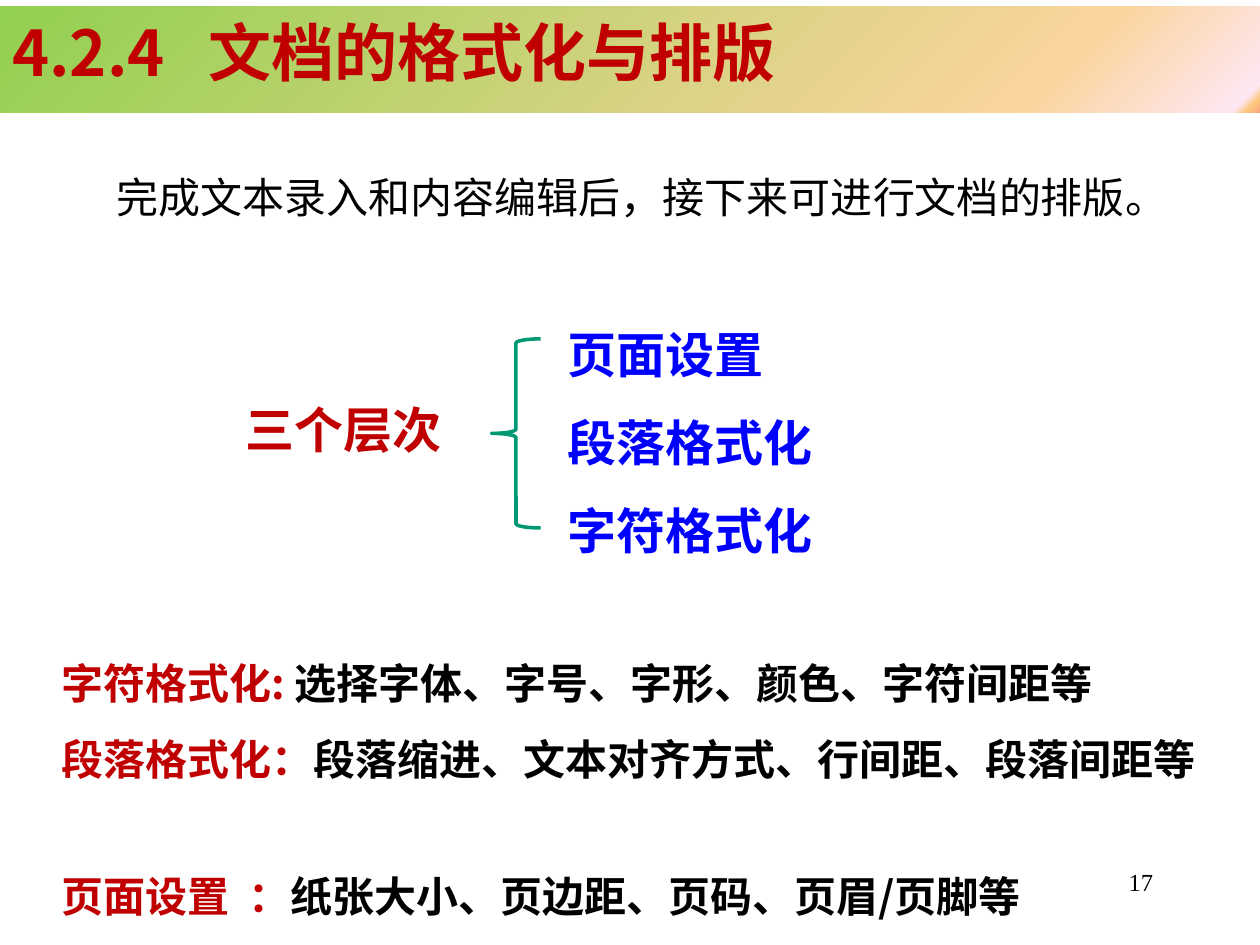
from dataclasses import dataclass

from lxml.etree import SubElement
from pptx import Presentation
from pptx.dml.color import RGBColor
from pptx.enum.shapes import MSO_SHAPE
from pptx.enum.text import MSO_ANCHOR, PP_ALIGN
from pptx.oxml.ns import qn
from pptx.util import Inches, Pt

SANS = "Noto Sans CJK SC"
SERIF = "Times New Roman"
RED = RGBColor(0xC0, 0x00, 0x00)
BLUE = RGBColor(0x00, 0x00, 0xFF)
BLACK = RGBColor(0x00, 0x00, 0x00)
GREEN = RGBColor(0x00, 0x99, 0x73)
BANNER_STOPS = [
    (0, "92D050"), (82, "FBD49C"), (98, "FEE7F2"),
    (99, "FAC77D"), (100, "FBA97D"), (100, "FEE7F2"),
]
LOOSE = 1.5  # line spacing of the body text


@dataclass(frozen=True)
class Box:
    left: float
    top: float
    width: float
    height: float

    def lengths(self) -> tuple:
        return tuple(Inches(v) for v in (self.left, self.top, self.width, self.height))


@dataclass(frozen=True)
class Level:
    label: str
    details: str
    tab: float = 0
    before: float = 0


LEVELS = [
    Level("字符格式化: ", "选择字体、字号、字形、颜色、字符间距等"),
    Level("段落格式化：", "段落缩进、文本对齐方式、行间距、段落间距等"),
    Level("页面设置\t：", "纸张大小、页边距、页码、页眉/页脚等", tab=1.48, before=35),
]


def write(paragraph, text: str, *, size: float, color: RGBColor, font: str = SANS,
          bold: bool = False, align=PP_ALIGN.LEFT, spacing: float = 1.0,
          before: float = 0, indent: float = 0, tab: float = 0) -> None:
    """Append a formatted run to the paragraph."""
    paragraph.alignment = align
    paragraph.line_spacing = spacing
    paragraph.space_before = Pt(before)
    properties = paragraph._p.get_or_add_pPr()
    if indent:
        properties.set("indent", str(Inches(indent)))
    if tab:
        tabs = SubElement(properties, qn("a:tabLst"))
        SubElement(tabs, qn("a:tab"), pos=str(Inches(tab)), algn="l")
    run = paragraph.add_run()
    run.text = text
    run.font.size, run.font.bold, run.font.name = Pt(size), bold, font
    run.font.color.rgb = color
    SubElement(run._r.get_or_add_rPr(), qn("a:ea"), typeface=SANS)


def add_text_frame(slide, box: Box, wrap: bool = True):
    frame = slide.shapes.add_textbox(*box.lengths()).text_frame
    frame.word_wrap = wrap
    return frame


def add_shape(slide, kind, box: Box):
    shape = slide.shapes.add_shape(kind, *box.lengths())
    shape.shadow.inherit = False
    return shape


def next_paragraph(frame, index: int):
    return frame.add_paragraph() if index else frame.paragraphs[0]


def add_banner(slide) -> None:
    banner = add_shape(slide, MSO_SHAPE.RECTANGLE, Box(0, 0.05, 10, 0.84))
    banner.line.fill.background()
    banner.fill.gradient()
    banner.fill.gradient_angle = 315
    stops = banner._element.spPr.find(".//" + qn("a:gsLst"))
    for stop in list(stops):
        stops.remove(stop)
    for percent, color in BANNER_STOPS:
        stop = SubElement(stops, qn("a:gs"), pos=str(percent * 1000))
        SubElement(stop, qn("a:srgbClr"), val=color)
    frame = banner.text_frame
    frame.vertical_anchor = MSO_ANCHOR.TOP
    frame.margin_top = Inches(0.06)
    write(frame.paragraphs[0], "4.2.4\t文档的格式化与排版", size=36, color=RED,
          bold=True, tab=1.56)


def add_levels_diagram(slide) -> None:
    names = add_text_frame(slide, Box(4.41, 2.29, 2.17, 2.22), wrap=False)
    for index, name in enumerate(["页面设置", "段落格式化", "字符格式化"]):
        write(next_paragraph(names, index), name, size=28, color=BLUE,
              bold=True, spacing=LOOSE)
    brace = add_shape(slide, MSO_SHAPE.LEFT_BRACE, Box(3.9, 2.69, 0.39, 1.5))
    brace.fill.background()
    brace.line.color.rgb = GREEN
    brace.line.width = Pt(2)
    heading = add_text_frame(slide, Box(1.85, 3.12, 2.12, 0.57))
    write(heading.paragraphs[0], "三个层次", size=28, color=RED, font=SERIF, bold=True)


def add_level_details(slide) -> None:
    frame = add_text_frame(slide, Box(0.39, 4.97, 9.41, 1.92))
    for index, level in enumerate(LEVELS):
        paragraph = next_paragraph(frame, index)
        style = dict(size=24, bold=True, spacing=LOOSE, before=level.before)
        write(paragraph, level.label, color=RED, tab=level.tab, **style)
        write(paragraph, level.details, color=BLACK, **style)


def main() -> None:
    presentation = Presentation()
    presentation.slide_width, presentation.slide_height = Inches(10), Inches(7.5)
    slide = presentation.slides.add_slide(presentation.slide_layouts[6])

    # Introduction
    intro = add_text_frame(slide, Box(0.12, 1.11, 9.41, 0.71))
    write(intro.paragraphs[0], "完成文本录入和内容编辑后，接下来可进行文档的排版。",
          size=24, color=BLACK, spacing=LOOSE, indent=0.71)

    # Title and the three levels
    add_banner(slide)
    add_level_details(slide)
    add_levels_diagram(slide)

    # Page number
    number = add_text_frame(slide, Box(7.17, 6.83, 2.08, 0.5))
    write(number.paragraphs[0], "17", size=14, color=BLACK, font=SERIF,
          align=PP_ALIGN.RIGHT)

    presentation.save("out.pptx")


if __name__ == "__main__":
    main()
